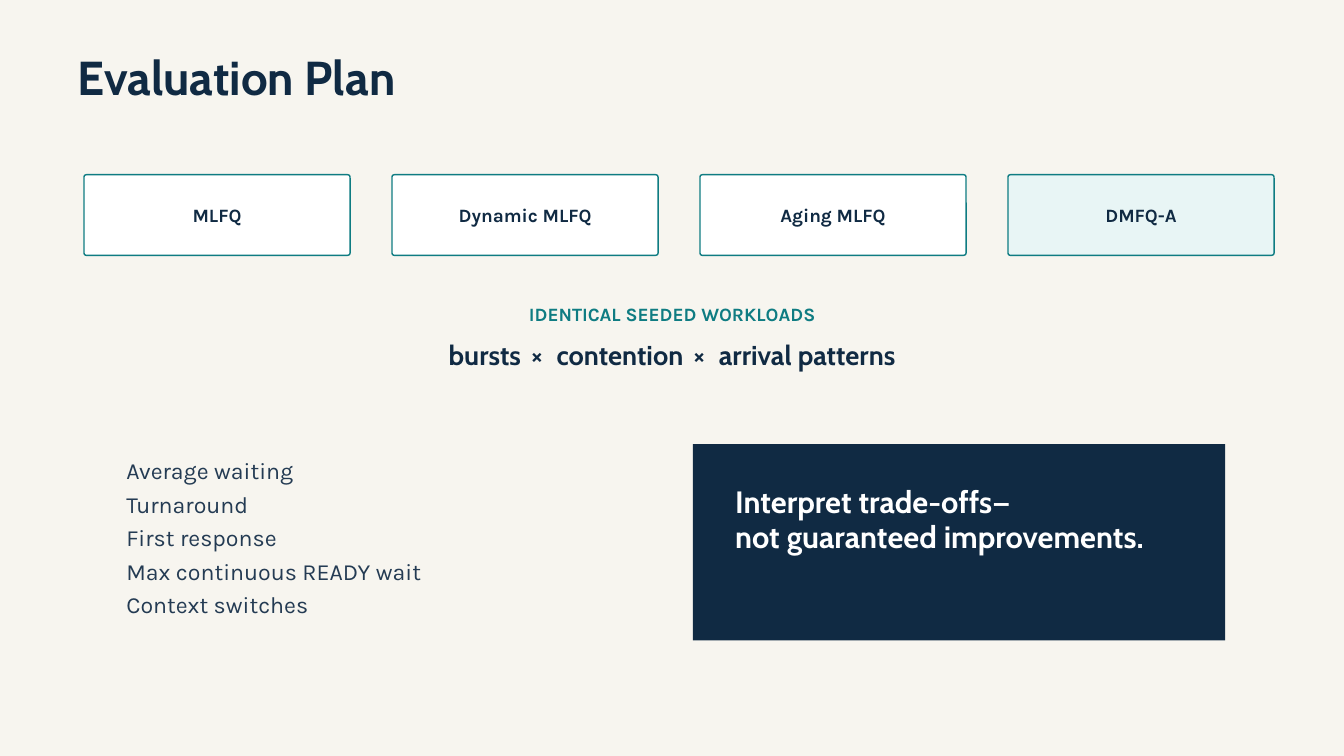
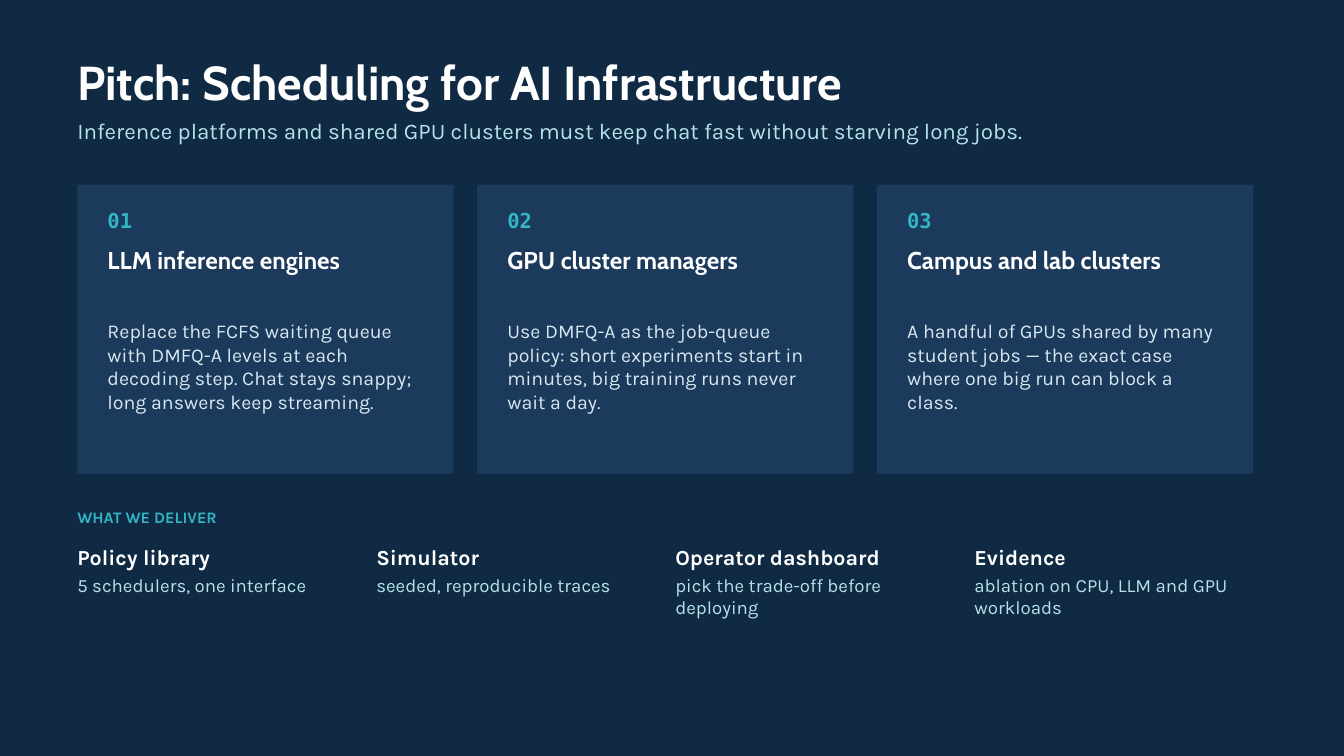
"""Build two slides on evaluating and pitching a scheduling policy."""
from dataclasses import dataclass
from typing import Optional

from lxml.etree import SubElement
from pptx import Presentation
from pptx.dml.color import RGBColor
from pptx.enum.shapes import MSO_SHAPE
from pptx.enum.text import MSO_ANCHOR, MSO_AUTO_SIZE, PP_ALIGN
from pptx.oxml.ns import qn
from pptx.util import Inches, Pt

NAVY = RGBColor(0x10, 0x2A, 0x43)
SLATE = RGBColor(0x24, 0x3B, 0x53)
CARD_BLUE = RGBColor(0x1B, 0x3A, 0x5C)
CREAM = RGBColor(0xF7, 0xF5, 0xEF)
WHITE = RGBColor(0xFF, 0xFF, 0xFF)
TEAL = RGBColor(0x0F, 0x7C, 0x82)
BRIGHT_TEAL = RGBColor(0x32, 0xB6, 0xC5)
PALE_TEAL = RGBColor(0xE8, 0xF5, 0xF5)
ICE = RGBColor(0xB6, 0xE3, 0xEA)
MIST = RGBColor(0xD9, 0xE8, 0xF0)

HEADING, BODY, MONO = "Cabin", "Karla", "DejaVu Sans Mono"
MARGIN = 1.15
TITLE_ONLY, TITLE_AND_CONTENT = 5, 1


@dataclass(frozen=True)
class Style:
    """Look of a paragraph; line is an exact line height in points."""
    font: str
    size: float
    color: RGBColor
    bold: bool = False
    align: PP_ALIGN = PP_ALIGN.LEFT
    line: Optional[float] = None
    after: float = 0


@dataclass(frozen=True)
class Box:
    """Place on the slide, in inches."""
    left: float
    top: float
    width: float
    height: float

    def lengths(self) -> tuple:
        """Return left, top, width and height as lengths."""
        return tuple(Inches(v) for v in (self.left, self.top, self.width, self.height))


@dataclass(frozen=True)
class Market:
    """One numbered card."""
    name: str
    pitch: str


@dataclass(frozen=True)
class Deliverable:
    """One item of the delivery row."""
    name: str
    detail: str


SCHEDULER = Style(BODY, 20.2, NAVY, True, PP_ALIGN.CENTER, 23.3)
WORKLOAD_LABEL = Style(BODY, 20.2, TEAL, True, PP_ALIGN.CENTER, 28.4)
WORKLOAD = Style(HEADING, 29.2, NAVY, True, PP_ALIGN.CENTER, 40.9)
METRIC = Style(BODY, 24.8, SLATE, line=35.9)
TAKEAWAY = Style(HEADING, 33, WHITE, True, line=37.9)
SUBTITLE = Style(BODY, 24, ICE)
CARD_NUMBER = Style(MONO, 22, BRIGHT_TEAL, True)
CARD_NAME = Style(HEADING, 26, WHITE, True)
CARD_TEXT = Style(BODY, 21, MIST)
DELIVER_LABEL = Style(BODY, 17.2, BRIGHT_TEAL, True)
ITEM_NAME = Style(BODY, 23, WHITE, True, after=4)
ITEM_DETAIL = Style(BODY, 20, ICE, after=4)

SCHEDULERS = ("MLFQ", "Dynamic MLFQ", "Aging MLFQ", "DMFQ-A")
METRICS = ("Average waiting", "Turnaround", "First response",
           "Max continuous READY wait", "Context switches")
MARKETS = (
    Market("LLM inference engines",
           "Replace the FCFS waiting queue with DMFQ-A levels at each decoding step. "
           "Chat stays snappy; long answers keep streaming."),
    Market("GPU cluster managers",
           "Use DMFQ-A as the job-queue policy: short experiments start in minutes, "
           "big training runs never wait a day."),
    Market("Campus and lab clusters",
           "A handful of GPUs shared by many student jobs — the exact case where "
           "one big run can block a class."),
)
DELIVERABLES = (
    Deliverable("Policy library", "5 schedulers, one interface"),
    Deliverable("Simulator", "seeded, reproducible traces"),
    Deliverable("Operator dashboard", "pick the trade-off before deploying"),
    Deliverable("Evidence", "ablation on CPU, LLM and GPU workloads"),
)


def format_run(r, style: Style) -> None:
    """Apply the font of a style to a run."""
    r.font.name = style.font
    r.font.size = Pt(style.size)
    r.font.bold = style.bold
    r.font.color.rgb = style.color


def format_paragraph(p, style: Style) -> None:
    """Apply a style to a paragraph and its runs."""
    p.alignment = style.align
    p.space_before = Pt(0)
    p.space_after = Pt(style.after)
    p.line_spacing = Pt(style.line) if style.line else 1.0
    for r in p.runs:
        format_run(r, style)


def write(sp, lines, *styles: Style, insets=(0, 0, 0, 0), anchor=MSO_ANCHOR.TOP) -> None:
    """Write one paragraph a line; the last style serves all remaining lines."""
    tf = sp.text_frame
    tf.word_wrap = True
    tf.auto_size = MSO_AUTO_SIZE.NONE
    tf.vertical_anchor = anchor
    tf.margin_left, tf.margin_top, tf.margin_right, tf.margin_bottom = map(Inches, insets)
    tf.text = "\n".join(lines)
    for i, p in enumerate(tf.paragraphs):
        format_paragraph(p, styles[min(i, len(styles) - 1)])


def add_text(s, box: Box, lines, *styles: Style):
    """Add a text box without insets."""
    sp = s.shapes.add_textbox(*box.lengths())
    write(sp, lines, *styles)
    return sp


def add_panel(s, box: Box, fill: RGBColor, kind=MSO_SHAPE.RECTANGLE):
    """Add a flat filled shape without an outline."""
    sp = s.shapes.add_shape(kind, *box.lengths())
    sp.shadow.inherit = False
    sp.fill.solid()
    sp.fill.fore_color.rgb = fill
    sp.line.fill.background()
    return sp


def place(sp, box: Box) -> None:
    """Move and size a placeholder."""
    sp.left, sp.top, sp.width, sp.height = box.lengths()


def add_slide(prs, layout: int, title: str, background: RGBColor, color: RGBColor,
              line: Optional[float] = None):
    """Add a slide with its background and title."""
    s = prs.slides.add_slide(prs.slide_layouts[layout])
    s.background.fill.solid()
    s.background.fill.fore_color.rgb = background
    place(s.shapes.title, Box(MARGIN, 0.79, 17.7, 0.8))
    write(s.shapes.title, [title], Style(HEADING, 51, color, True, line=line))
    return s


def add_workloads(s) -> None:
    """Add the line of workload factors with loosely set multiplication signs."""
    sp = add_text(s, Box(4.79, 4.95, 10.42, 0.53), [""], WORKLOAD)
    p = sp.text_frame.paragraphs[0]
    for text in ("bursts", " × ", "contention", " × ", "arrival patterns"):
        r = p.add_run()
        r.text = text
        format_run(r, WORKLOAD)
        if "×" in text:
            r._r.get_or_add_rPr().set("spc", "400")


def add_metrics(sp) -> None:
    """Fill the body placeholder with an unbulleted list."""
    place(sp, Box(1.88, 6.71, 7.29, 2.5))
    write(sp, METRICS, METRIC)
    for p in sp.text_frame.paragraphs:
        pPr = p._p.get_or_add_pPr()
        pPr.set("marL", "0")
        pPr.set("indent", "0")
        SubElement(pPr, qn("a:buNone"))


def build_evaluation(prs) -> None:
    """Build the evaluation plan slide."""
    s = add_slide(prs, TITLE_AND_CONTENT, "Evaluation Plan", CREAM, NAVY, 55.1)
    first, step = 1.25, 13.75 / 3
    for i, name in enumerate(SCHEDULERS):
        fill = PALE_TEAL if name == SCHEDULERS[-1] else WHITE
        sp = add_panel(s, Box(first + i * step, 2.6, 3.96, 1.2), fill,
                       MSO_SHAPE.ROUNDED_RECTANGLE)
        sp.adjustments[0] = 0.03
        sp.line.color.rgb = TEAL
        sp.line.width = Pt(1.5)
        write(sp, [name], SCHEDULER, insets=(0.06,) * 4, anchor=MSO_ANCHOR.MIDDLE)
    add_text(s, Box(6.04, 4.44, 7.92, 0.37), ["IDENTICAL SEEDED WORKLOADS"], WORKLOAD_LABEL)
    add_workloads(s)
    add_metrics(s.placeholders[1])
    takeaway = add_panel(s, Box(10.31, 6.61, 7.92, 2.92), NAVY)
    write(takeaway, ["Interpret trade-offs—", "not guaranteed improvements."], TAKEAWAY,
          insets=(0.63, 0.59, 0.52, 0))


def add_market(s, number: int, market: Market) -> None:
    """Add one numbered market card."""
    left = MARGIN + (number - 1) * 5.95
    add_panel(s, Box(left, 2.75, 5.6, 4.3), CARD_BLUE)
    rows = ((3.1, 0.5, f"{number:02d}", CARD_NUMBER),
            (3.65, 1, market.name, CARD_NAME),
            (4.75, 2.2, market.pitch, CARD_TEXT))
    for top, height, text, style in rows:
        add_text(s, Box(left + 0.45, top, 4.7, height), [text], style)


def build_pitch(prs) -> None:
    """Build the pitch slide."""
    s = add_slide(prs, TITLE_ONLY, "Pitch: Scheduling for AI Infrastructure", NAVY, WHITE)
    add_text(s, Box(MARGIN, 1.74, 17, 0.45),
             ["Inference platforms and shared GPU clusters must keep chat fast "
              "without starving long jobs."], SUBTITLE)
    for number, market in enumerate(MARKETS, 1):
        add_market(s, number, market)
    add_text(s, Box(MARGIN, 7.55, 10, 0.33), ["WHAT WE DELIVER"], DELIVER_LABEL)
    for i, item in enumerate(DELIVERABLES):
        add_text(s, Box(MARGIN + i * 4.45, 8.1, 4.1, 1.8), [item.name, item.detail],
                 ITEM_NAME, ITEM_DETAIL)


def main() -> None:
    """Build and save the presentation."""
    prs = Presentation()
    prs.slide_width, prs.slide_height = Inches(20), Inches(11.25)
    build_evaluation(prs)
    build_pitch(prs)
    prs.save("out.pptx")


if __name__ == "__main__":
    main()
